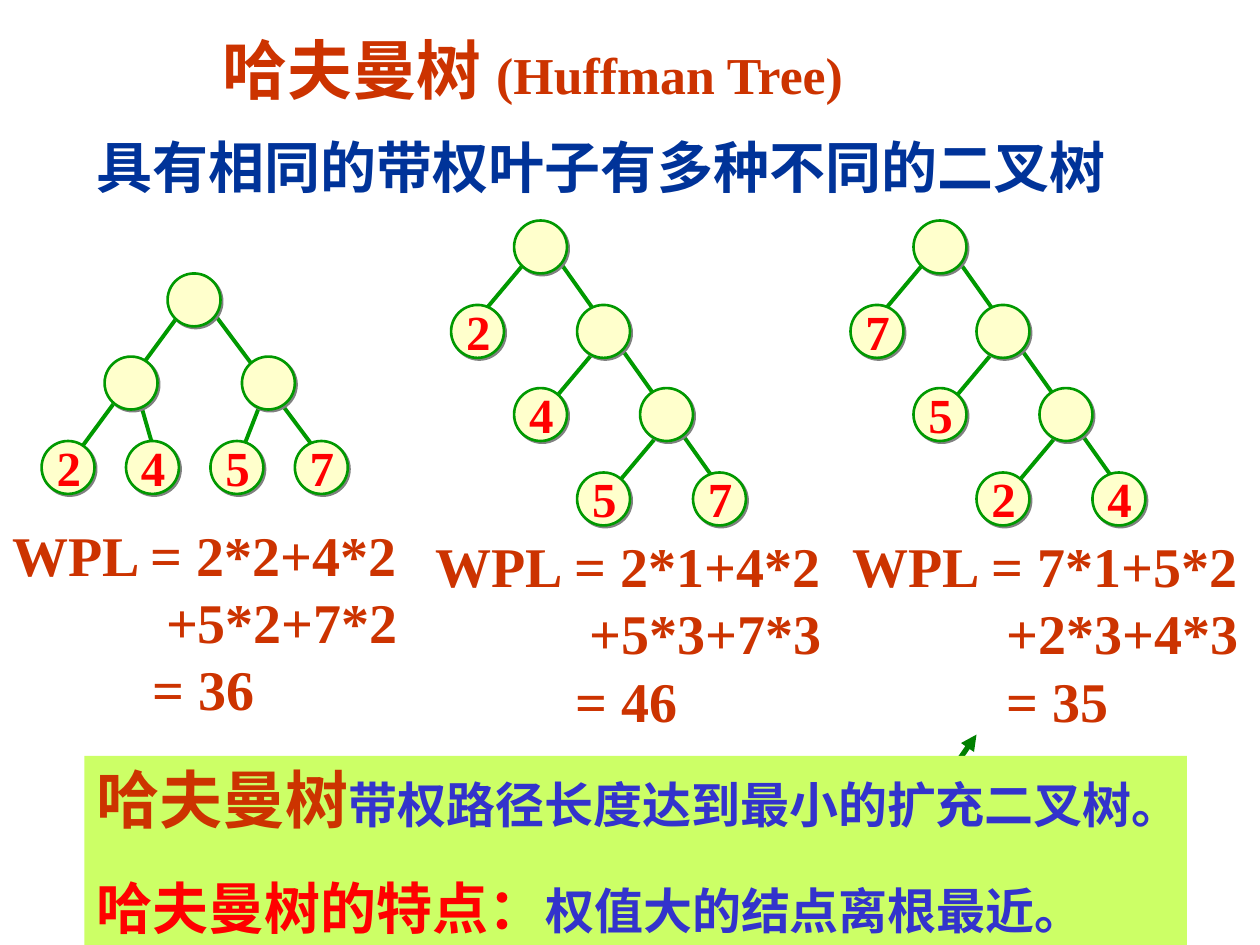
from dataclasses import dataclass

import lxml.etree
import pptx
import pptx.dml.color
import pptx.enum.shapes
import pptx.enum.text
import pptx.oxml.ns
import pptx.util
from pptx.util import Inches

COLORS = {
    "rust": "CC3300", "navy": "003399", "indigo": "3333CC", "red": "FF0000",
    "edge": "009900", "arrow": "008000", "node": "FFFFCC", "shadow": "808080",
    "panel": "CCFF66",
}
LATIN = "Times New Roman"
CHINESE = "Noto Sans CJK SC"
NODE_SIZE = 0.42
MIDDLE = pptx.enum.text.MSO_ANCHOR.MIDDLE

Point = tuple[float, float]
Edge = tuple[Point, Point]


@dataclass
class Node:
    left: float
    top: float
    weight: str = ""


@dataclass
class Tree:
    edges: list[Edge]
    nodes: list[Node]


@dataclass
class PathLength:
    left: float
    top: float
    width: float
    lines: list[str]
    result_indent: float


def rgb(name: str) -> pptx.dml.color.RGBColor:
    return pptx.dml.color.RGBColor.from_string(COLORS[name])


def add_child(parent, tag: str, **attributes: str):
    return lxml.etree.SubElement(parent, pptx.oxml.ns.qn(tag), attributes)


def style_font(font, size: float, color: str, name: str = LATIN) -> None:
    font.size = pptx.util.Pt(size)
    font.bold = True
    font.color.rgb = rgb(color)
    font.name = name
    add_child(font._rPr, "a:ea", typeface=CHINESE)


def add_runs(paragraph, runs: list[tuple[str, float, str]], name: str = LATIN) -> None:
    for text, size, color in runs:
        run = paragraph.add_run()
        run.text = text
        style_font(run.font, size, color, name)


def add_text_frame(shapes, left: float, top: float, width: float, height: float):
    frame = shapes.add_textbox(
        Inches(left), Inches(top), Inches(width), Inches(height)).text_frame
    frame.word_wrap = True
    return frame


def add_line(shapes, start: Point, end: Point, color: str, width: float):
    line = shapes.add_connector(
        pptx.enum.shapes.MSO_CONNECTOR.STRAIGHT,
        *(Inches(value) for value in start + end))
    line.line.color.rgb = rgb(color)
    line.line.width = pptx.util.Pt(width)
    add_child(line._element.spPr, "a:effectLst")
    return line


def add_node(shapes, node: Node) -> None:
    circle = shapes.add_shape(
        pptx.enum.shapes.MSO_SHAPE.OVAL, Inches(node.left), Inches(node.top),
        Inches(NODE_SIZE), Inches(NODE_SIZE))
    circle.fill.solid()
    circle.fill.fore_color.rgb = rgb("node")
    circle.line.color.rgb = rgb("edge")
    circle.line.width = pptx.util.Pt(1.5)
    circle.shadow.inherit = False
    effects = circle._element.spPr.find(pptx.oxml.ns.qn("a:effectLst"))
    shadow = add_child(effects, "a:outerShdw", dist=str(pptx.util.Pt(1.4)),
                       dir="2700000", algn="ctr", rotWithShape="0")
    add_child(shadow, "a:srgbClr", val=COLORS["shadow"])


def add_weight(shapes, node: Node) -> None:
    frame = add_text_frame(shapes, node.left + 0.02, node.top - 0.08, 0.39, 0.57)
    frame.word_wrap = False
    frame.vertical_anchor = MIDDLE
    paragraph = frame.paragraphs[0]
    paragraph.text = node.weight
    paragraph.alignment = pptx.enum.text.PP_ALIGN.CENTER
    style_font(paragraph.font, 28, "red")


def add_tree(slide, tree: Tree) -> None:
    shapes = slide.shapes.add_group_shape().shapes
    for start, end in tree.edges:
        add_line(shapes, start, end, "edge", 2.25)
    for node in tree.nodes:
        add_node(shapes, node)
    for node in tree.nodes:
        if node.weight:
            add_weight(shapes, node)


def skewed_tree(left: float, weights: str) -> Tree:
    """Tree whose right child branches again; weights run from the top leaf down."""
    first, second, third, fourth = weights
    edges = [((left + x, y), (left + x - 0.42, y + 0.5))
             for x, y in [(0.59, 2.08), (1.17, 2.75), (1.67, 3.42)]]
    edges.append(((left + 0.75, 1.92), (left + 2.17, 3.92)))
    levels = [1.75, 2.42, 3.08, 3.75]
    inner = [Node(left + 0.5 * (level + 1), levels[level]) for level in range(3)]
    leaves = [Node(left + 0.5 * level, levels[level + 1], weight)
              for level, weight in enumerate((first, second, third))]
    return Tree(edges, inner + leaves + [Node(left + 1.92, levels[3], fourth)])


def balanced_tree() -> Tree:
    edges = [((1.58, 2.33), (2.58, 3.67)), ((2.08, 3.17), (1.92, 3.58)),
             ((1.08, 3.08), (1.25, 3.67)), ((1.42, 2.5), (0.5, 3.75))]
    inner = [Node(1.33, 2.17), Node(0.83, 2.83), Node(1.92, 2.83)]
    leaves = [Node(0.33 + 0.67 * index, 3.5, weight)
              for index, weight in enumerate("2457")]
    return Tree(edges, inner + leaves)


def add_path_length(slide, item: PathLength) -> None:
    frame = add_text_frame(slide.shapes, item.left, item.top, item.width, 1.7)
    indents = [0, 1.22, item.result_indent]
    for index, (text, indent) in enumerate(zip(item.lines, indents)):
        paragraph = frame.add_paragraph() if index else frame.paragraphs[0]
        paragraph.text = text
        paragraph.line_spacing = pptx.util.Pt(38.4)
        paragraph._p.get_or_add_pPr().set("marL", str(Inches(indent)))
        style_font(paragraph.font, 32, "rust")


def add_conclusion(slide) -> None:
    panel = slide.shapes.add_shape(
        pptx.enum.shapes.MSO_SHAPE.RECTANGLE,
        Inches(0.67), Inches(6), Inches(8.75), Inches(1.5))
    panel.fill.solid()
    panel.fill.fore_color.rgb = rgb("panel")
    panel.line.fill.background()
    panel.shadow.inherit = False
    frame = panel.text_frame
    frame.word_wrap = True
    frame.vertical_anchor = MIDDLE
    paragraph = frame.paragraphs[0]
    paragraph.alignment = pptx.enum.text.PP_ALIGN.LEFT
    add_runs(paragraph, [("哈夫曼树", 36, "rust"),
                         ("带权路径长度达到最小的扩充二叉树。", 28, "indigo")], CHINESE)
    paragraph.add_line_break()
    add_runs(paragraph, [("哈夫曼树的特点：", 32, "red"),
                         ("权值大的结点离根最近。", 28, "indigo")], CHINESE)


def main() -> None:
    presentation = pptx.Presentation()
    presentation.slide_width = Inches(10)
    presentation.slide_height = Inches(7.5)
    slide = presentation.slides.add_slide(presentation.slide_layouts[6])

    title = add_text_frame(slide.shapes, 1.67, 0.17, 6.08, 0.75)
    title.vertical_anchor = MIDDLE
    add_runs(title.paragraphs[0],
             [("哈夫曼树 ", 37, "rust"), ("(Huffman Tree)", 29.6, "rust")])
    subtitle = add_text_frame(slide.shapes, 0.67, 1, 9, 0.64).paragraphs[0]
    subtitle.text = "具有相同的带权叶子有多种不同的二叉树"
    style_font(subtitle.font, 32, "navy")

    for tree in [skewed_tree(3.58, "2457"), skewed_tree(6.75, "7524"), balanced_tree()]:
        add_tree(slide, tree)
    for item in [
        PathLength(0, 4.08, 3.33, ["WPL = 2*2+4*2", "+5*2+7*2", "= 36"], 1.11),
        PathLength(3.36, 4.17, 3.31, ["WPL = 2*1+4*2", "+5*3+7*3", "= 46"], 1.11),
        PathLength(6.67, 4.17, 3.33, ["WPL = 7*1+5*2", "+2*3+4*3", "= 35"], 1.22),
    ]:
        add_path_length(slide, item)

    arrow = add_line(slide.shapes, (7.17, 6.67), (7.75, 5.83), "arrow", 3)
    add_child(arrow.line._get_or_add_ln(), "a:tailEnd", type="triangle")
    add_conclusion(slide)
    presentation.save("out.pptx")


if __name__ == "__main__":
    main()
